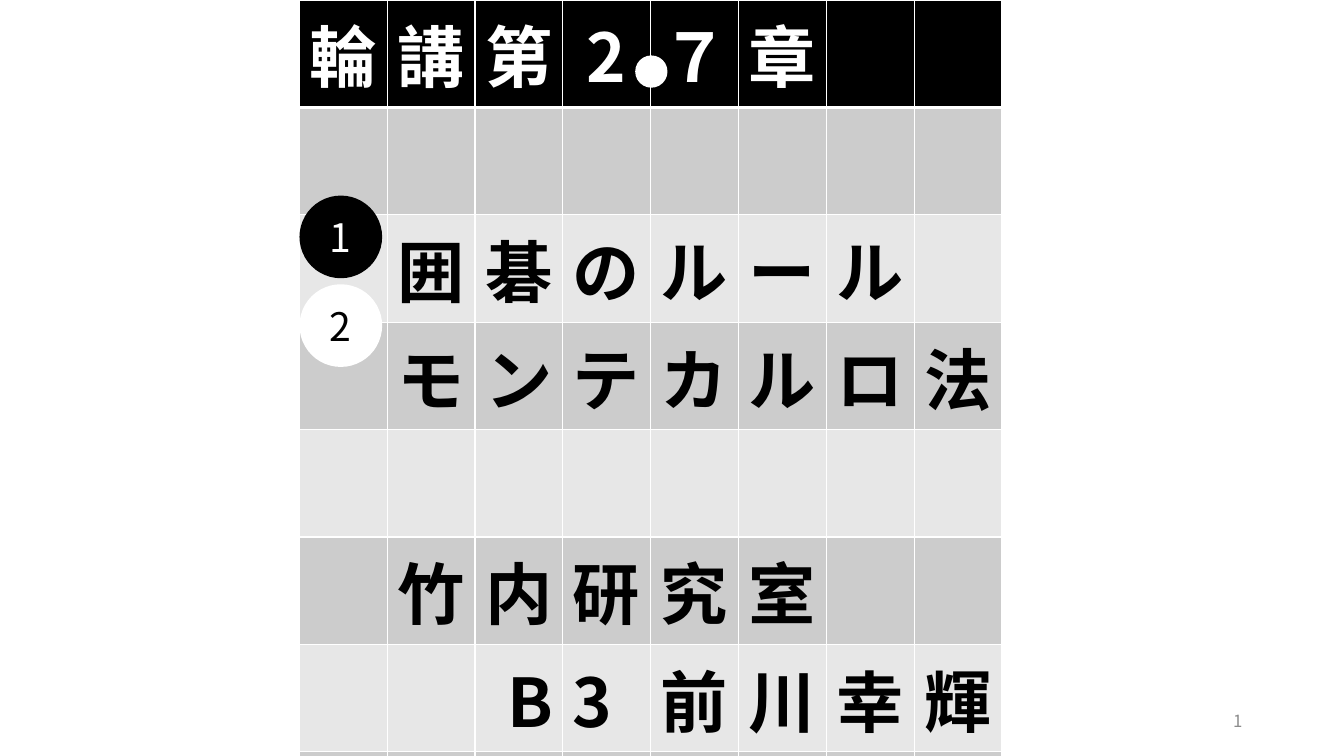
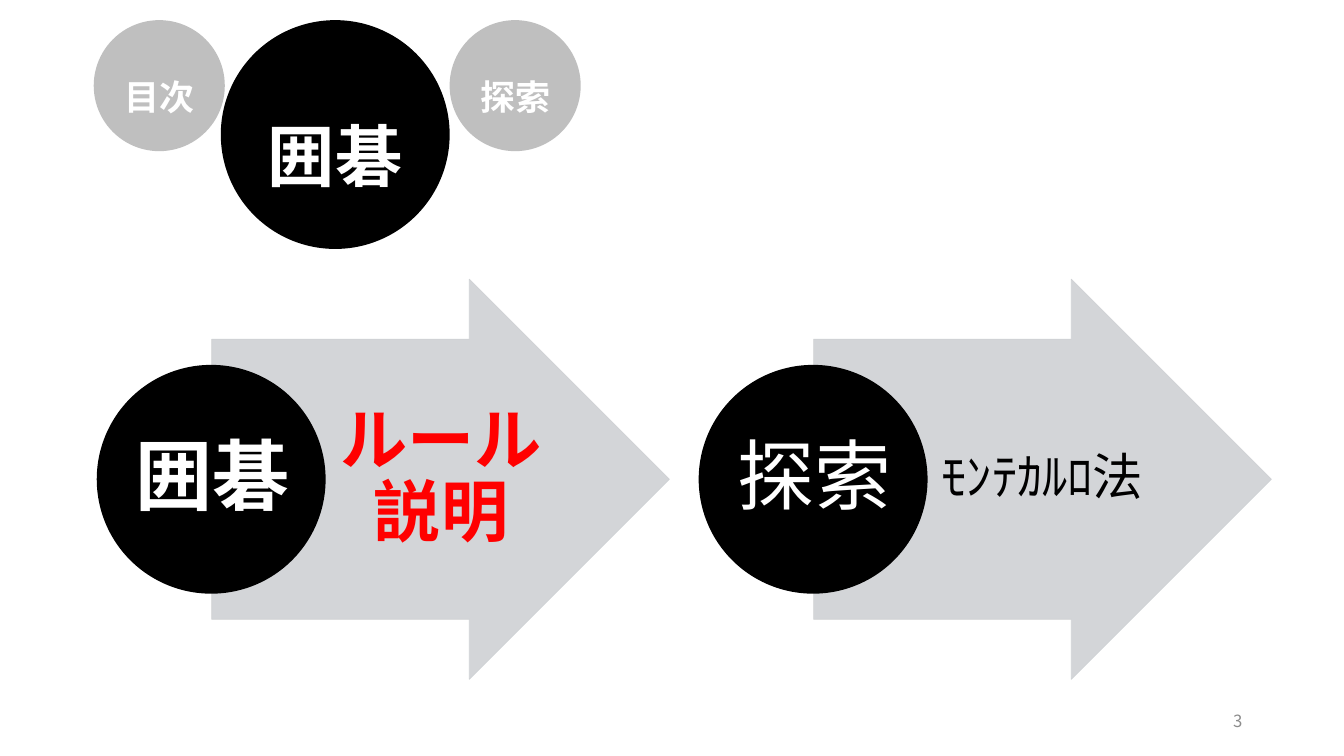
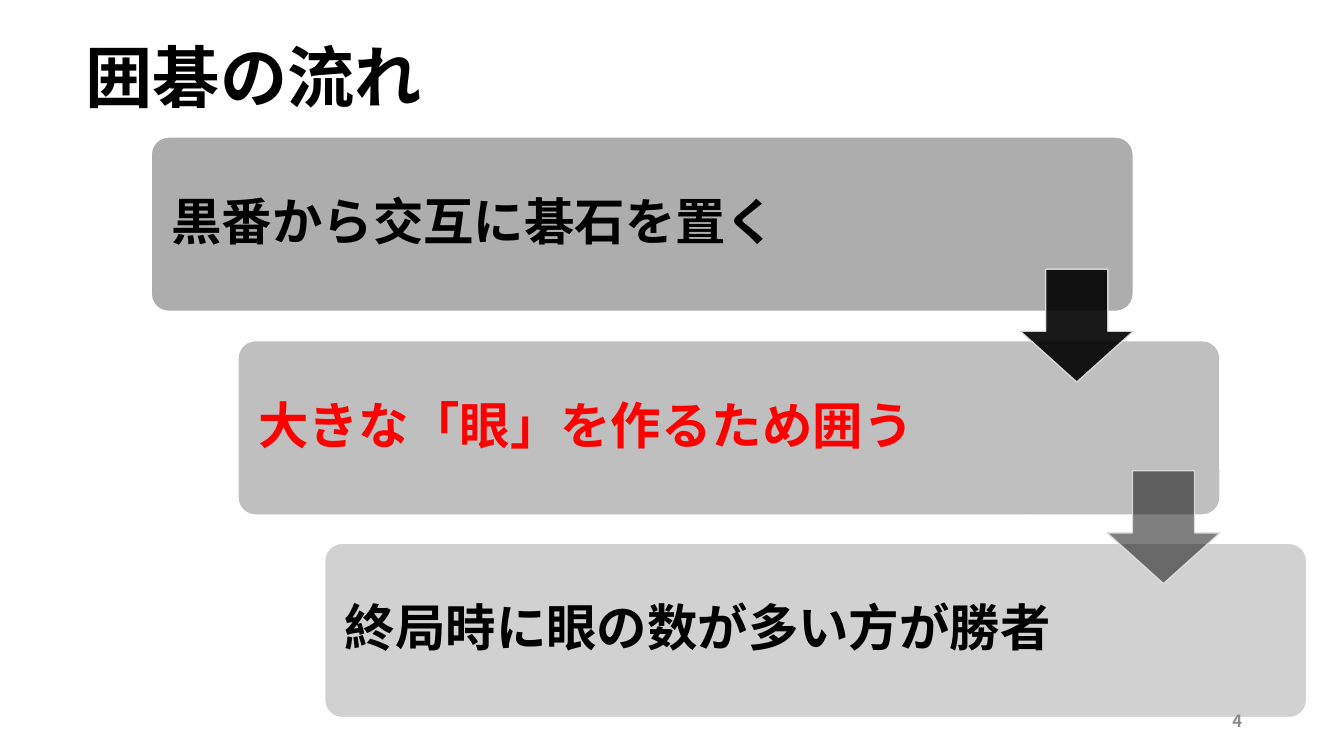
from lxml import etree
from pptx import Presentation
from pptx.dml.color import RGBColor
from pptx.enum.shapes import MSO_SHAPE
from pptx.enum.text import MSO_ANCHOR, PP_ALIGN
from pptx.oxml.ns import qn
from pptx.util import Pt

EMU_PER_PX = 9144
FONT = "Noto Sans CJK JP"
TITLE_ONLY, BLANK = 5, 6

BLACK = RGBColor(0x00, 0x00, 0x00)
WHITE = RGBColor(0xFF, 0xFF, 0xFF)
RED = RGBColor(0xFF, 0x00, 0x00)
PAGE_GRAY = RGBColor(0x8C, 0x8C, 0x8C)
STONE_GRAY = RGBColor(0xBF, 0xBF, 0xBF)
STEP_GRAY = RGBColor(0xA5, 0xA5, 0xA5)
TOPIC_GRAY = RGBColor(0xCF, 0xD1, 0xD4)
EDGE_GRAY = RGBColor(0xE1, 0xE1, 0xE1)
DARK_BAND = RGBColor(0xCC, 0xCC, 0xCC)
LIGHT_BAND = RGBColor(0xE7, 0xE7, 0xE7)

OVAL = MSO_SHAPE.OVAL
RIGHT_ARROW = MSO_SHAPE.RIGHT_ARROW
DOWN_ARROW = MSO_SHAPE.DOWN_ARROW
ROUND_RECT = MSO_SHAPE.ROUNDED_RECTANGLE
LEFT, CENTER, RIGHT = PP_ALIGN.LEFT, PP_ALIGN.CENTER, PP_ALIGN.RIGHT
MIDDLE, BOTTOM = MSO_ANCHOR.MIDDLE, MSO_ANCHOR.BOTTOM

BOARD_SIZE = 8
BOARD_ROWS = [
    (0, "輪講第2７章"), (0, ""), (1, "囲碁のルール"), (1, "モンテカルロ法"),
    (0, ""), (1, "竹内研究室"), (2, "B3前川幸輝"), (0, ""),
]
BOARD_ALIGN = {"2": CENTER, "７": CENTER, "B": RIGHT}


def px(length):
    """Turn px into EMU."""
    return length * EMU_PER_PX


def write(frame, text, size=48, color=BLACK, bold=False, align=LEFT,
          spacing=None, anchor=None, insets=None):
    """Write one formatted paragraph into a text frame."""
    if anchor is not None:
        frame.vertical_anchor = anchor
    if insets:
        (frame.margin_left, frame.margin_top,
         frame.margin_right, frame.margin_bottom) = map(px, insets)
    paragraph = frame.paragraphs[0]
    paragraph.alignment = align
    if spacing:
        paragraph.line_spacing = spacing
    if not text:
        mark = etree.SubElement(paragraph._p, qn("a:endParaRPr"), sz=str(size * 100))
        for script in ("a:latin", "a:ea"):
            etree.SubElement(mark, qn(script), typeface=FONT)
        return
    run = paragraph.add_run()
    run.text = text
    run.font.size = Pt(size)
    run.font.bold = bold
    run.font.color.rgb = color
    run.font.name = FONT
    etree.SubElement(run._r.rPr, qn("a:ea"), typeface=FONT)


def add_text(slide, box, text, **style):
    """Add a wrapping text box, centred vertically."""
    frame = slide.shapes.add_textbox(*map(px, box)).text_frame
    frame.word_wrap = True
    write(frame, text, anchor=MIDDLE, **style)


def set_alpha(parent, percent):
    """Make the solid fill below an element partly transparent."""
    color = parent.find(qn("a:solidFill"))[0]
    etree.SubElement(color, qn("a:alpha"), val=str(percent * 1000))


def add_figure(slide, kind, box, fill, alpha=100, edge=None, edge_width=1,
               edge_alpha=100, adjust=()):
    """Add a flat preset shape and return it."""
    figure = slide.shapes.add_shape(kind, *map(px, box))
    figure.shadow.inherit = False
    for index, value in enumerate(adjust):
        figure.adjustments[index] = value
    figure.fill.solid()
    figure.fill.fore_color.rgb = fill
    properties = figure._element.spPr
    if alpha < 100:
        set_alpha(properties, alpha)
    if edge is None:
        figure.line.fill.background()
        return figure
    figure.line.color.rgb = edge
    figure.line.width = Pt(edge_width)
    if edge_alpha < 100:
        set_alpha(properties.find(qn("a:ln")), edge_alpha)
    return figure


def add_stone(slide, left, top, diameter, fill, text="", **style):
    """Add a round stone, with a centred label if there is one."""
    stone = add_figure(slide, OVAL, (left, top, diameter, diameter), fill)
    if text:
        write(stone.text_frame, text, align=CENTER, anchor=MIDDLE, **style)


def add_page_number(slide, number, bold=False):
    """Add the page number at the lower right."""
    add_text(slide, (942, 695, 300, 40), str(number), size=12,
             color=PAGE_GRAY, bold=bold, align=RIGHT)


def set_borders(cell, top, bottom):
    """Give a cell white borders with these top and bottom widths in points."""
    properties = cell._tc.get_or_add_tcPr()
    widths = (("a:lnL", 1), ("a:lnR", 1), ("a:lnT", top), ("a:lnB", bottom))
    for index, (side, width) in enumerate(widths):
        border = etree.Element(qn(side), w=str(Pt(width)))
        fill = etree.SubElement(border, qn("a:solidFill"))
        etree.SubElement(fill, qn("a:srgbClr"), val=str(WHITE))
        properties.insert(index, border)


def add_board(slide):
    """Add the board table with one letter in each cell."""
    board = slide.shapes.add_table(
        BOARD_SIZE, BOARD_SIZE, px(297), 0, px(697), px(741)).table
    for column in board.columns:
        column.width = px(697) // BOARD_SIZE
    for row, (start, text) in enumerate(BOARD_ROWS):
        board.rows[row].height = px(741) // BOARD_SIZE
        letters = (" " * start + text).ljust(BOARD_SIZE)
        band = DARK_BAND if row % 2 else LIGHT_BAND
        for column, letter in enumerate(letters):
            cell = board.cell(row, column)
            cell.fill.solid()
            cell.fill.fore_color.rgb = band if row else BLACK
            set_borders(cell, top=3 if row == 1 else 1, bottom=1 if row else 3)
            write(cell.text_frame, letter.strip(), bold=True,
                  color=BLACK if row else WHITE,
                  align=BOARD_ALIGN.get(letter, LEFT))


def add_topic(slide, left, name, name_bold, detail, insets, **detail_style):
    """Add a topic stone with an arrow that holds its detail."""
    add_figure(slide, RIGHT_ARROW, (left + 114, 277, 454, 397), TOPIC_GRAY, alpha=90,
               edge=TOPIC_GRAY, edge_width=0.5, edge_alpha=90, adjust=(0.7, 0.5))
    add_text(slide, (left + 228, 336, 221, 278), detail, align=CENTER,
             spacing=0.9, insets=insets, **detail_style)
    add_stone(slide, left, 362, 227, BLACK)
    add_text(slide, (left + 34, 395, 161, 161), name, size=55, color=WHITE,
             bold=name_bold, align=CENTER, spacing=0.9, insets=(4, 4, 4, 4))


def build_cover(slide):
    """Build the board cover."""
    add_board(slide)
    add_stone(slide, 297, 282, 82, WHITE, "2", size=28)
    add_stone(slide, 630, 55, 32, WHITE)
    add_stone(slide, 297, 194, 82, BLACK, "1", size=28, color=WHITE)
    add_page_number(slide, 1)


def build_agenda(slide):
    """Build the agenda with its two topics."""
    add_topic(slide, 96, "囲碁", True, "ルール説明", (13, 3, 7, 3),
              size=48, color=RED, bold=True)
    add_topic(slide, 693, "探索", False, "ﾓﾝﾃｶﾙﾛ法", (10, 3, 5, 3), size=36)
    chapters = [(219, 227, BLACK, "囲碁", 48), (93, 130, STONE_GRAY, "目次", 25),
                (446, 130, STONE_GRAY, "探索", 25)]
    for left, diameter, fill, name, size in chapters:
        add_stone(slide, left, 20, diameter, fill, name, size=size,
                  color=WHITE, bold=True, spacing=1.5)
    add_page_number(slide, 3)


def build_flow(slide):
    """Build the flow of a game in three steps."""
    title = slide.shapes.title
    title.left, title.top, title.width, title.height = map(px, (75, 25, 1150, 96))
    write(title.text_frame, "囲碁の流れ", bold=True, spacing=0.9, anchor=BOTTOM)
    steps = [("黒番から交互に碁石を置く", BLACK, 90, 787),
             ("大きな「眼」を作るため囲う", RED, 70, 765),
             ("終局時に眼の数が多い方が勝者", BLACK, 50, 765)]
    for index, (text, color, alpha, width) in enumerate(steps):
        left, top = 150 + 86 * index, 136 + round(201.5 * index)
        add_figure(slide, ROUND_RECT, (left, top, 974, 173), STEP_GRAY,
                   alpha=alpha, edge=WHITE, adjust=(0.1,))
        add_text(slide, (left + 5, top + 5, width, 163), text, size=36, color=color,
                 bold=True, spacing=0.9, insets=(15, 15, 15, 15))
    for index, alpha in enumerate((90, 50)):
        add_figure(slide, DOWN_ARROW, (1012 + 86 * index, 267 + 200 * index, 112, 112),
                   BLACK, alpha=alpha, edge=EDGE_GRAY, edge_alpha=90,
                   adjust=(0.55, 0.45))
    add_page_number(slide, 4, bold=True)


def main():
    """Build and save the presentation."""
    deck = Presentation()
    deck.slide_width, deck.slide_height = px(1333), px(750)
    pages = ((build_cover, BLANK), (build_agenda, BLANK), (build_flow, TITLE_ONLY))
    for build, layout in pages:
        build(deck.slides.add_slide(deck.slide_layouts[layout]))
    deck.save("out.pptx")


if __name__ == "__main__":
    main()
